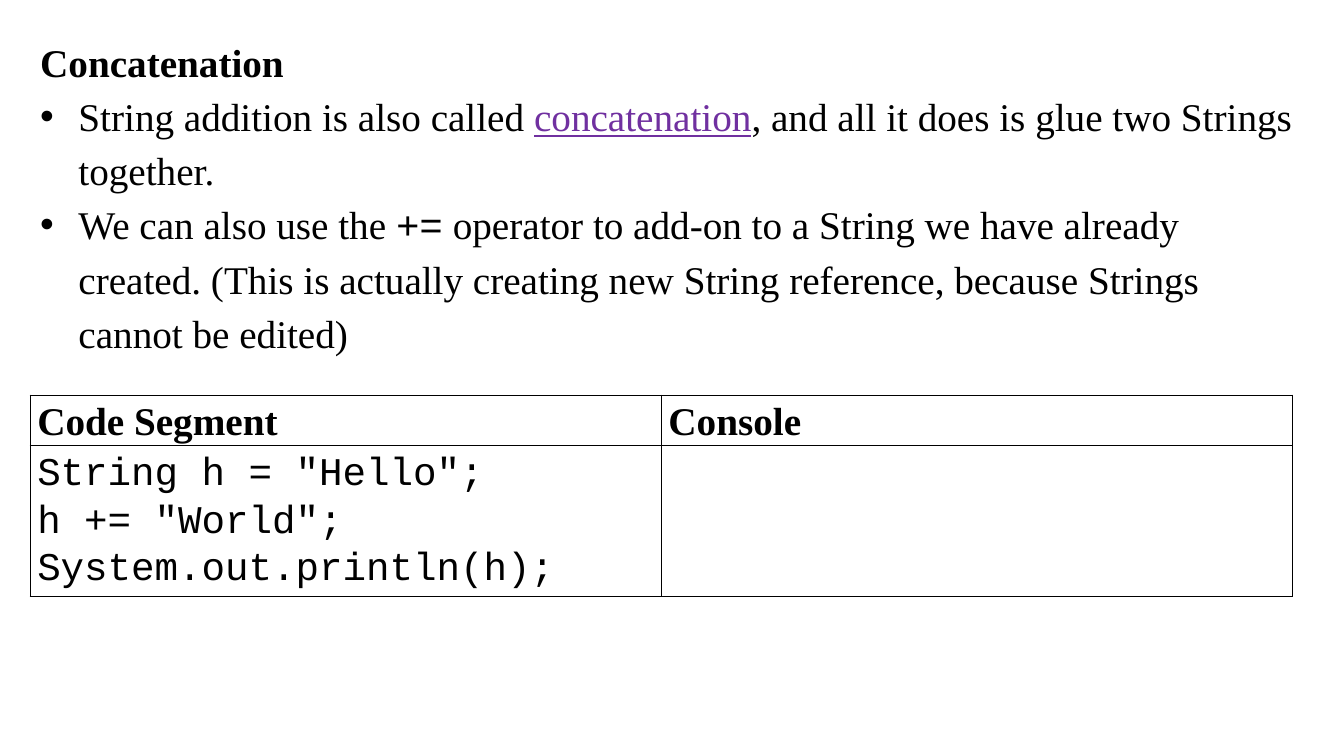
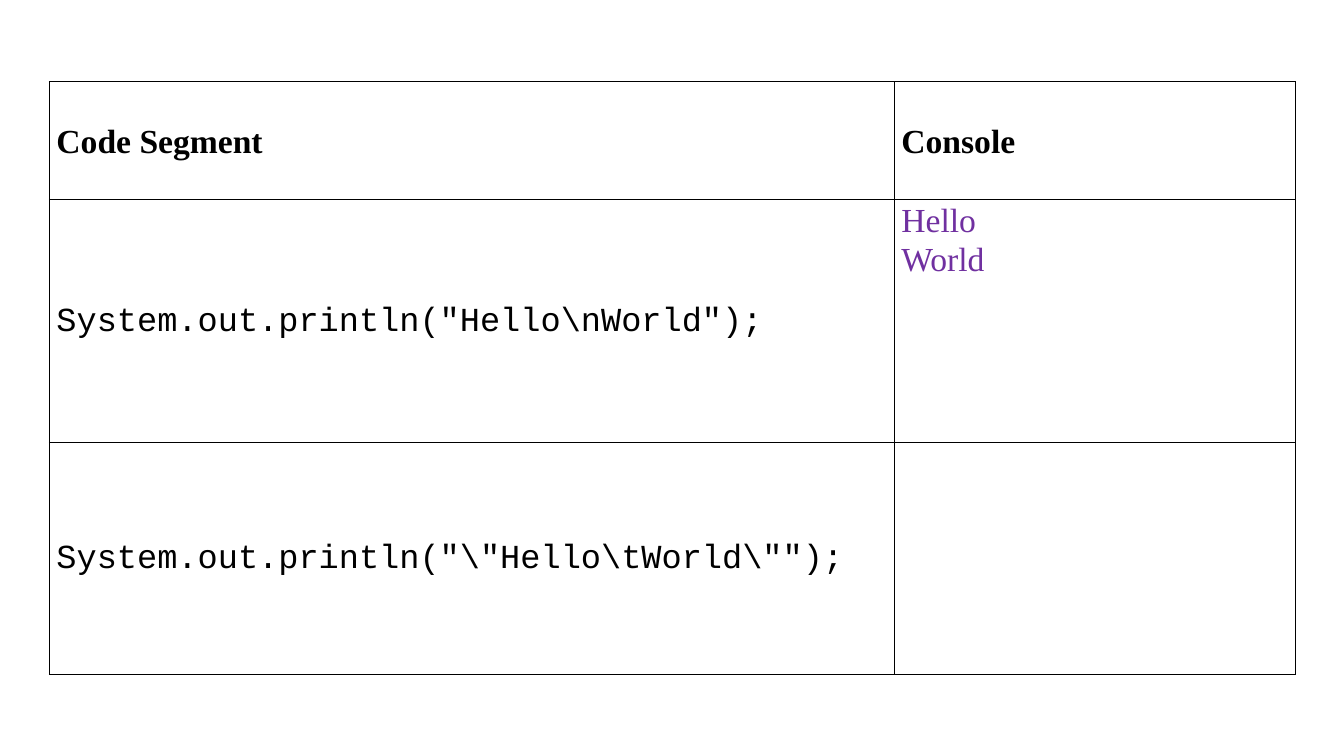
from pptx import Presentation
from pptx.dml.color import RGBColor
from pptx.enum.text import MSO_ANCHOR, MSO_AUTO_SIZE
from pptx.oxml import parse_xml
from pptx.oxml.ns import nsdecls
from pptx.util import Inches, Pt

HUES = {"ink": "000000", "mark": "7030A0", "page": "FFFFFF"}
SERIF, MONO = "Times New Roman", "Courier New"

# Content: a paragraph is a list of (text, format) runs
HEAD = [("Concatenation", {"bold": True})]
POINTS = [
    [("String addition is also called ", {}),
     ("concatenation", {"hue": "mark", "under": True}),
     (", and all it does is glue two Strings together.", {})],
    [("We can also use the ", {}),
     ("+=", {"face": MONO}),
     (" operator to add-on to a String we have already created. "
      "(This is actually creating new String reference, because Strings "
      "cannot be edited)", {})],
]
TITLES = ["Code Segment", "Console"]

# Each row holds the lines of code and the lines of output
TABLES = [
    {"at": (0.3, 3.92), "cols": [6.26, 6.26], "rows": [0.49, 1.47], "size": 28,
     "body": [(['String h = "Hello";', 'h += "World";',
                'System.out.println(h);'], [])]},
    {"at": (0.49, 0.81), "cols": [8.38, 3.98], "rows": [1.17, 2.41, 2.3],
     "size": 24,
     "body": [([r'System.out.println("Hello\nWorld");'], ["Hello", "World"]),
              ([r'System.out.println("\"Hello\tWorld\"");'], [])]},
]


def write(para, text, size=28, face=SERIF, hue="ink", bold=False, under=False):
    run = para.add_run()
    run.text = text
    font = run.font
    font.size, font.name = Pt(size), face
    font.bold, font.underline = bold, under
    font.color.rgb = RGBColor.from_string(HUES[hue])


def next_para(frame, first, space=1.07):
    para = frame.paragraphs[0] if first else frame.add_paragraph()
    para.line_spacing = space
    return para


def add_bullet(para):
    props = para._p.get_or_add_pPr()
    props.set("marL", str(Inches(0.38)))
    props.set("indent", str(Inches(-0.38)))
    for tag in ('<a:buFont {} typeface="Arial"/>', '<a:buChar {} char="•"/>'):
        props.append(parse_xml(tag.format(nsdecls("a"))))


def add_notes(slide):
    box = slide.shapes.add_textbox(Inches(0.3), Inches(0.3),
                                   Inches(12.65), Inches(3.28))
    frame = box.text_frame
    frame.word_wrap = True
    frame.auto_size = MSO_AUTO_SIZE.SHAPE_TO_FIT_TEXT
    for i, runs in enumerate([HEAD] + POINTS):
        para = next_para(frame, i == 0, 1.15 if i else 1.07)
        if i:
            add_bullet(para)
        for text, style in runs:
            write(para, text, **style)


def add_border(cell):
    props = cell._tc.get_or_add_tcPr()
    for i, side in enumerate(("lnL", "lnR", "lnT", "lnB")):
        props.insert(i, parse_xml(
            f'<a:{side} {nsdecls("a")} w="{Pt(1)}"><a:solidFill>'
            f'<a:srgbClr val="{HUES["ink"]}"/></a:solidFill></a:{side}>'))


def fill_cell(cell, lines, **style):
    cell.margin_left = cell.margin_right = Inches(0.07)
    cell.margin_top = cell.margin_bottom = 0
    cell.fill.solid()
    cell.fill.fore_color.rgb = RGBColor.from_string(HUES["page"])
    add_border(cell)
    for i, line in enumerate(lines):
        write(next_para(cell.text_frame, i == 0), line, **style)


def add_grid(slide, data):
    cols, rows, size = data["cols"], data["rows"], data["size"]
    left, top = data["at"]
    table = slide.shapes.add_table(
        len(rows), len(cols), Inches(left), Inches(top),
        Inches(sum(cols)), Inches(sum(rows))).table
    table.first_row = table.horz_banding = False
    for col, width in zip(table.columns, cols):
        col.width = Inches(width)
    for row, height in zip(table.rows, rows):
        row.height = Inches(height)
    # Header row
    for c, title in enumerate(TITLES):
        cell = table.cell(0, c)
        fill_cell(cell, [title], size=size, bold=True)
        cell.vertical_anchor = MSO_ANCHOR.MIDDLE
    # Code beside its output
    for r, (code, output) in enumerate(data["body"], 1):
        cell = table.cell(r, 0)
        fill_cell(cell, code, size=size, face=MONO)
        cell.vertical_anchor = MSO_ANCHOR.MIDDLE
        fill_cell(table.cell(r, 1), output, size=size, hue="mark")


def main():
    deck = Presentation()
    deck.slide_width, deck.slide_height = Inches(13.33), Inches(7.5)
    blank = deck.slide_layouts[6]
    slides = [deck.slides.add_slide(blank) for _ in TABLES]
    add_notes(slides[0])
    for slide, data in zip(slides, TABLES):
        add_grid(slide, data)
    deck.save("out.pptx")


if __name__ == "__main__":
    main()
